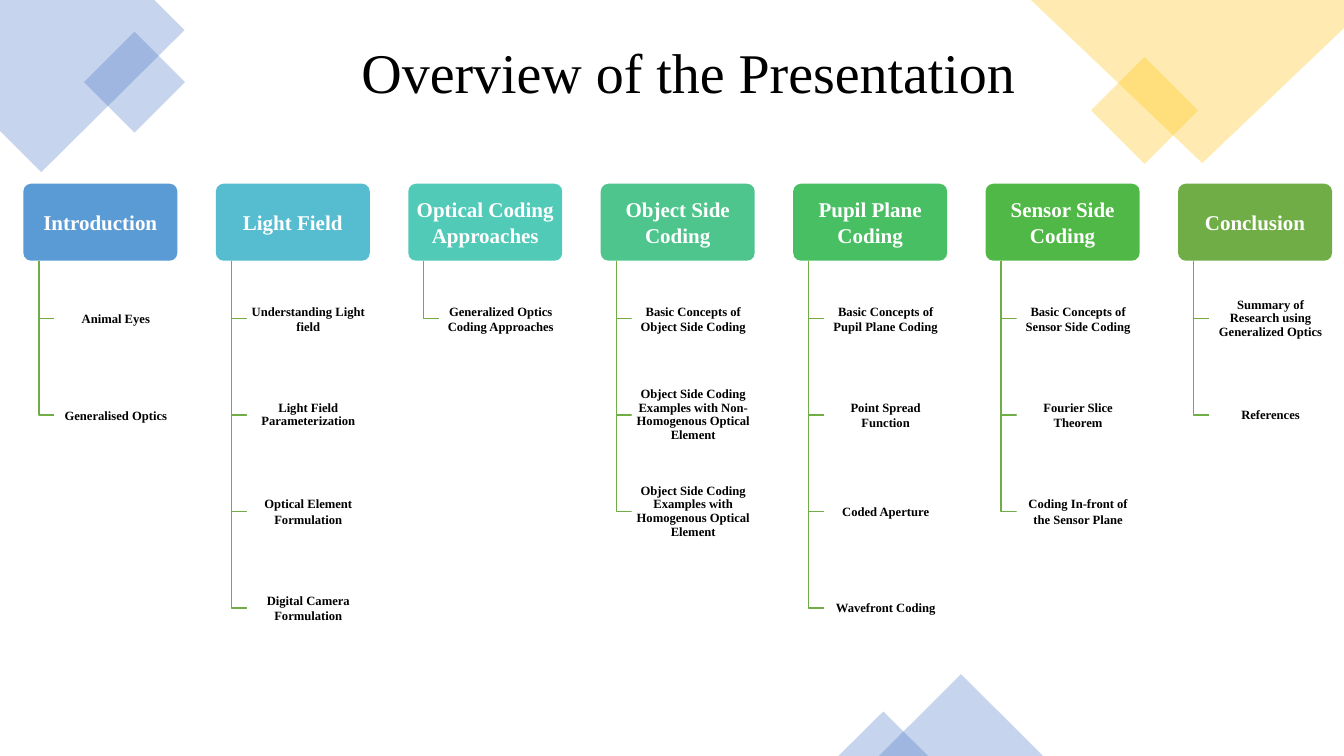
import dataclasses

import pptx
import pptx.dml.color
import pptx.enum.shapes
import pptx.enum.text
import pptx.oxml
import pptx.oxml.ns
import pptx.util

Cm = pptx.util.Cm
Shapes = pptx.enum.shapes.MSO_SHAPE


@dataclasses.dataclass(frozen=True)
class Theme:
    font: str = "Times New Roman"
    title_size: float = 40
    header_size: float = 15
    item_size: float = 9
    line_width: float = 1
    black: str = "000000"
    white: str = "FFFFFF"
    blue: str = "4472C4"
    gold: str = "FFC000"
    branch: str = "70AD47"
    headers: tuple = ("5B9BD5", "56BCD0", "52CAB8", "4DC58D", "49BF64", "50B846", "70AD47")


@dataclasses.dataclass(frozen=True)
class Box:
    left: float
    top: float
    width: float
    height: float

    def inside(self, left, top, width, height):
        return Box(self.left + left, self.top + top, width, height)

    def lengths(self):
        return [Cm(value) for value in dataclasses.astuple(self)]


THEME = Theme()
SLIDE = Box(0, 0, 33.87, 19.05)
COLUMN_PITCH = 4.85
ROW_PITCH = 2.43
CARD_HEIGHT = 1.94
INDENT = 0.39
TIGHT = 0.9

TOPICS = [
    ("Introduction", [("Animal Eyes", 1), ("Generalised Optics", 1)]),
    ("Light Field", [
        ("Understanding Light field", 1),
        ("Light Field Parameterization", TIGHT),
        ("Optical Element Formulation", 1),
        ("Digital Camera Formulation", 1),
    ]),
    ("Optical Coding Approaches", [("Generalized Optics Coding Approaches", 1)]),
    ("Object Side Coding", [
        ("Basic Concepts of Object Side Coding", 1),
        ("Object Side Coding Examples with Non-Homogenous Optical Element", TIGHT),
        ("Object Side Coding Examples with Homogenous Optical Element", TIGHT),
    ]),
    ("Pupil Plane Coding", [
        ("Basic Concepts of Pupil Plane Coding", 1),
        ("Point Spread Function", 1),
        ("Coded Aperture", 1),
        ("Wavefront Coding", 1),
    ]),
    ("Sensor Side Coding", [
        ("Basic Concepts of Sensor Side Coding", 1),
        ("Fourier Slice Theorem", 1),
        ("Coding In-front of the Sensor Plane", 1),
    ]),
    ("Conclusion", [
        ("Summary of Research using Generalized Optics", TIGHT),
        ("References", TIGHT),
    ]),
]


def rgb(color):
    return pptx.dml.color.RGBColor.from_string(color)


def write_text(frame, words, *, size, color, bold=False, spacing=1, insets=(0.25, 0.13)):
    frame.word_wrap = True
    frame.auto_size = pptx.enum.text.MSO_AUTO_SIZE.NONE
    frame.vertical_anchor = pptx.enum.text.MSO_ANCHOR.MIDDLE
    frame.margin_left = frame.margin_right = Cm(insets[0])
    frame.margin_top = frame.margin_bottom = Cm(insets[1])
    para = frame.paragraphs[0]
    para.alignment = pptx.enum.text.PP_ALIGN.CENTER
    para.line_spacing = spacing
    para.space_before = pptx.util.Pt(0)
    span = para.add_run()
    span.text = words
    span.font.name = THEME.font
    span.font.size = pptx.util.Pt(size)
    span.font.bold = bold
    span.font.color.rgb = rgb(color)


def paint(shape, color, opacity=100):
    shape.shadow.inherit = False
    shape.line.fill.background()
    shape.fill.solid()
    shape.fill.fore_color.rgb = rgb(color)
    if opacity < 100:
        tint = shape.fill._xPr.find(".//" + pptx.oxml.ns.qn("a:srgbClr"))
        alpha = pptx.oxml.parse_xml(f'<a:alpha {pptx.oxml.ns.nsdecls("a")} val="{opacity * 1000}"/>')
        tint.append(alpha)


def add_outline(page, box, points, close):
    corners = [(Cm(box.left + across), Cm(box.top + down)) for across, down in points]
    builder = page.shapes.build_freeform(*corners[0])
    builder.add_line_segments(corners[1:], close=close)
    return builder.convert_to_shape()


def add_card(page, box, color, opacity=100):
    card = page.shapes.add_shape(Shapes.ROUNDED_RECTANGLE, *box.lengths())
    card.adjustments[0] = 0.1
    paint(card, color, opacity)
    return card


def add_corner(page, box, outline, square, color):
    paint(add_outline(page, box, outline, close=True), color, 30)
    left, top, side = square
    tile = page.shapes.add_shape(Shapes.RECTANGLE, *box.inside(left, top, side, side).lengths())
    tile.rotation = 45
    paint(tile, color, 30)


def add_peaks(page, box):
    for peak in (box.inside(1.02, 0, 4.14, 2.06), box.inside(0, 0.94, 2.26, 1.12)):
        triangle = page.shapes.add_shape(Shapes.ISOSCELES_TRIANGLE, *peak.lengths())
        paint(triangle, THEME.blue, 30)


def add_title(page, box):
    title = page.shapes.title
    title.left, title.top, title.width, title.height = box.lengths()
    write_text(title.text_frame, "Overview of the Presentation",
               size=THEME.title_size, color=THEME.black)


def add_topic(page, box, heading, items, color):
    header = add_card(page, box.inside(0, 0, box.width, CARD_HEIGHT), color)
    write_text(header.text_frame, heading, size=THEME.header_size,
               color=THEME.white, bold=True, insets=(0.08, 0.05))
    for row, (words, spacing) in enumerate(items, start=1):
        top = row * ROW_PITCH
        middle = top + CARD_HEIGHT / 2
        elbow = [(INDENT, CARD_HEIGHT), (INDENT, middle), (2 * INDENT, middle)]
        branch = add_outline(page, box, elbow, close=False)
        branch.shadow.inherit = False
        branch.fill.background()
        branch.line.color.rgb = rgb(THEME.branch)
        branch.line.width = pptx.util.Pt(THEME.line_width)
        place = box.inside(2 * INDENT, top, box.width - 2 * INDENT, CARD_HEIGHT)
        item = add_card(page, place, THEME.white, 90)
        write_text(item.text_frame, words, size=THEME.item_size, color=THEME.black,
                   bold=True, spacing=spacing, insets=(0.05, 0.03))


def add_overview(page, box):
    for index, ((heading, items), color) in enumerate(zip(TOPICS, THEME.headers)):
        column = box.inside(index * COLUMN_PITCH, 0, 3.88, box.height)
        add_topic(page, column, heading, items, color)


def main():
    deck = pptx.Presentation()
    deck.slide_width, deck.slide_height = Cm(SLIDE.width), Cm(SLIDE.height)
    page = deck.slides.add_slide(deck.slide_layouts[5])
    add_corner(page, Box(0, 0, 4.65, 4.34),
               [(0, 0), (3.89, 0), (4.65, 0.76), (1.04, 4.34), (0, 3.3)],
               (2.49, 1.17, 1.8), THEME.blue)
    add_corner(page, Box(25.98, 0, 7.89, 4.11),
               [(0, 0), (7.89, 0), (7.89, 0.71), (4.32, 4.11)],
               (1.91, 1.83, 1.91), THEME.gold)
    add_peaks(page, Box(21.13, 16.99, 5.16, 2.06))
    add_overview(page, Box(0.59, 4.63, 32.98, 11.66))
    add_title(page, Box(8.56, 0.81, 17.58, 1.96))
    deck.save("out.pptx")


if __name__ == "__main__":
    main()
